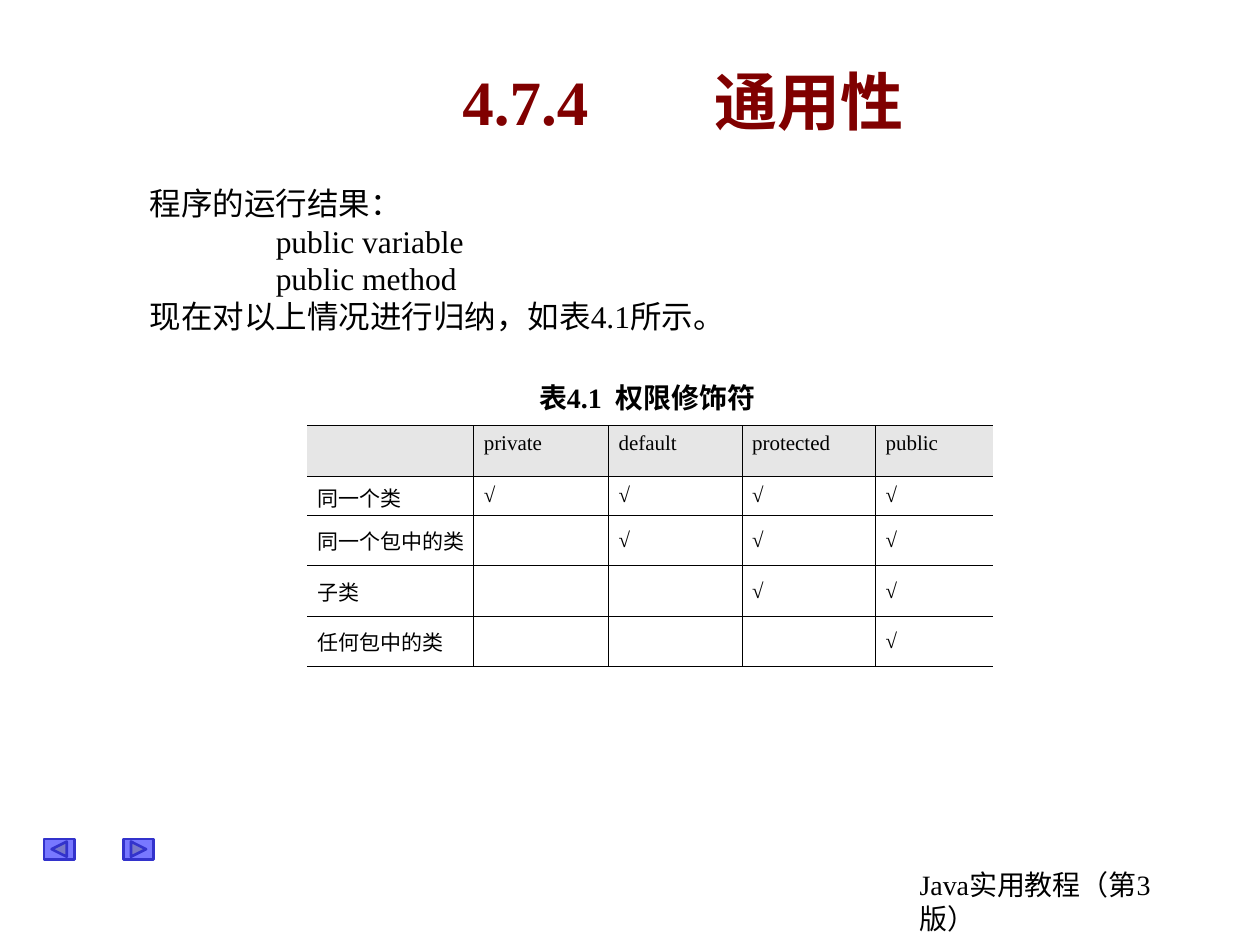
from lxml.etree import SubElement
from pptx import Presentation
from pptx.dml.color import RGBColor
from pptx.enum.shapes import MSO_SHAPE
from pptx.enum.text import MSO_ANCHOR, MSO_AUTO_SIZE, PP_ALIGN
from pptx.oxml.ns import qn
from pptx.util import Inches, Pt

BLACK = RGBColor(0x00, 0x00, 0x00)
MAROON = RGBColor(0x80, 0x00, 0x00)
BLUE = RGBColor(0x00, 0x00, 0xFF)
INDIGO = RGBColor(0x33, 0x33, 0xCC)
GREY = RGBColor(0xE6, 0xE6, 0xE6)

CHECK = "√"
MODIFIERS = ["private", "default", "protected", "public"]
# Each scope with the number of modifiers that deny access to it
SCOPES = [("同一个类", 0), ("同一个包中的类", 1), ("子类", 2), ("任何包中的类", 3)]
COLUMN_WIDTHS = [1.32, 1.07, 1.06, 1.06, 0.93]
ROW_HEIGHTS = [0.31, 0.31, 0.38, 0.31, 0.31]


def write_text(frame, text, size=18, color=BLACK, bold=False, align=PP_ALIGN.LEFT):
    """Fill a text frame with one paragraph per line of text, with tabs every inch."""
    for index, line in enumerate(text.split("\n")):
        paragraph = frame.paragraphs[0] if index == 0 else frame.add_paragraph()
        paragraph.alignment = align
        tab_list = SubElement(paragraph._p.get_or_add_pPr(), qn("a:tabLst"))
        for inch in range(8):
            SubElement(tab_list, qn("a:tab"), pos=str(Inches(inch)), algn="l")
        run = paragraph.add_run()
        run.text = line
        run.font.name = "Times New Roman"
        run.font.size = Pt(size)
        run.font.bold = bold
        run.font.color.rgb = color


def set_borders(cell, widths):
    """Draw the left, right, top and bottom borders; a width of 0 hides one."""
    properties = cell._tc.get_or_add_tcPr()
    for index, (side, width) in enumerate(zip("LRTB", widths)):
        line = SubElement(properties, qn(f"a:ln{side}"), w=str(Pt(width)))
        properties.insert(index, line)
        if width:
            fill = SubElement(line, qn("a:solidFill"))
            SubElement(fill, qn("a:srgbClr"), val=str(BLACK))
        else:
            SubElement(line, qn("a:noFill"))


class SlideBuilder:
    THIN, THICK = 0.45, 0.75

    def __init__(self, slide):
        self.slide = slide

    def text(self, text, left, top, width, height, anchor=MSO_ANCHOR.TOP,
             wrap=True, grow=True, **style):
        box = self.slide.shapes.add_textbox(
            Inches(left), Inches(top), Inches(width), Inches(height))
        frame = box.text_frame
        frame.word_wrap = wrap
        frame.vertical_anchor = anchor
        frame.auto_size = MSO_AUTO_SIZE.SHAPE_TO_FIT_TEXT if grow else MSO_AUTO_SIZE.NONE
        write_text(frame, text, **style)

    def button(self, kind, left):
        shape = self.slide.shapes.add_shape(
            kind, Inches(left), Inches(6.66), Inches(0.24), Inches(0.16))
        shape.shadow.inherit = False
        shape.fill.solid()
        shape.fill.fore_color.rgb = BLUE
        color = shape.fill._xPr.find(qn("a:solidFill")).find(qn("a:srgbClr"))
        SubElement(color, qn("a:alpha"), val="53000")
        shape.line.color.rgb = INDIGO
        shape.line.width = Pt(1.5)

    def table(self, rows, left, top):
        table = self.slide.shapes.add_table(
            len(rows), len(COLUMN_WIDTHS), Inches(left), Inches(top),
            Inches(sum(COLUMN_WIDTHS)), Inches(sum(ROW_HEIGHTS))).table
        table.first_row = table.horz_banding = False
        for column, width in zip(table.columns, COLUMN_WIDTHS):
            column.width = Inches(width)
        for row, height in zip(table.rows, ROW_HEIGHTS):
            row.height = Inches(height)
        last_row, last_column = len(rows) - 1, len(COLUMN_WIDTHS) - 1
        for row, texts in enumerate(rows):
            for column, text in enumerate(texts):
                cell = table.cell(row, column)
                cell.margin_left = Inches(0.08)
                cell.margin_right = Inches(0.04)
                cell.margin_top = cell.margin_bottom = Inches(0.05)
                if row == 0:
                    cell.fill.solid()
                    cell.fill.fore_color.rgb = GREY
                else:
                    cell.fill.background()
                    cell.vertical_anchor = MSO_ANCHOR.MIDDLE
                if text:
                    write_text(cell.text_frame, text, size=12, align=PP_ALIGN.JUSTIFY)
                set_borders(cell, [
                    self.THIN if column > 0 else 0,
                    self.THIN if column < last_column else 0,
                    self.THIN if row > 0 else self.THICK,
                    self.THIN if row < last_row else self.THICK])


def main():
    presentation = Presentation()
    presentation.slide_width = Inches(10)
    presentation.slide_height = Inches(7.5)
    builder = SlideBuilder(presentation.slides.add_slide(presentation.slide_layouts[6]))

    builder.text("Java实用教程（第3版）", 7.2, 6.84, 2.36, 0.64, size=16)
    builder.button(MSO_SHAPE.ACTION_BUTTON_FORWARD_OR_NEXT, 0.98)
    builder.button(MSO_SHAPE.ACTION_BUTTON_BACK_OR_PREVIOUS, 0.35)
    builder.text("4.7.4 \t通用性", 1.17, 0.42, 8.5, 0.75, anchor=MSO_ANCHOR.MIDDLE,
                 grow=False, size=36, color=MAROON, bold=True, align=PP_ALIGN.CENTER)
    builder.text("程序的运行结果：\n\tpublic variable\n\tpublic method\n"
                 "现在对以上情况进行归纳，如表4.1所示。", 1.09, 1.41, 8.59, 1.6)

    rows = [["", *MODIFIERS]]
    for scope, denied in SCOPES:
        rows.append([scope] + [""] * denied + [CHECK] * (len(MODIFIERS) - denied))
    builder.table(rows, 2.44, 3.38)
    builder.text("表4.1  权限修饰符", 4.18, 2.97, 2.1, 0.37, anchor=MSO_ANCHOR.MIDDLE,
                 wrap=False, grow=False, size=16, bold=True)

    presentation.save("out.pptx")


if __name__ == "__main__":
    main()
